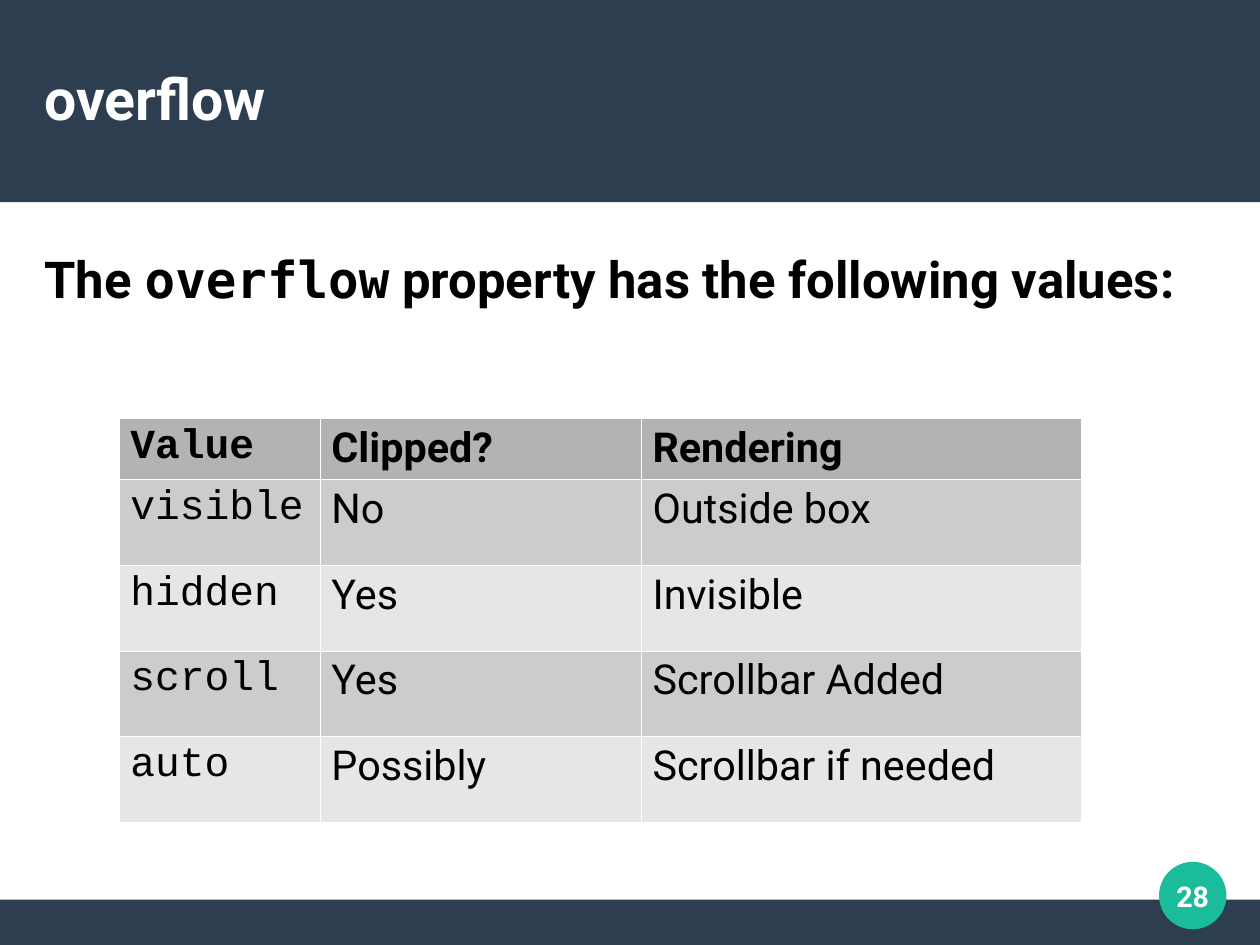
"""Build the slide on the values of the overflow property."""
from dataclasses import dataclass

from lxml.etree import SubElement
from pptx import Presentation
from pptx.dml.color import RGBColor
from pptx.enum.shapes import MSO_SHAPE
from pptx.enum.text import MSO_ANCHOR, PP_ALIGN
from pptx.oxml.ns import qn
from pptx.util import Inches, Pt


@dataclass(frozen=True)
class Theme:
    navy: str = "2C3E50"
    teal: str = "1ABC9C"
    white: str = "FFFFFF"
    black: str = "000000"
    header: str = "B3B3B3"
    bands: tuple = ("CCCCCC", "E6E6E6")
    sans: str = "Roboto"
    mono: str = "DejaVu Sans Mono"
    code: str = "Courier New"
    title: int = 36
    lead: int = 32
    cell: int = 26
    badge: int = 18
    rule: float = 0.06


THEME = Theme()
WIDTH, HEIGHT = 28 / 2.54, 21 / 2.54
FOOT = 7.87
COLS = (1.76, 2.81, 3.85)
ROWS = (0.52,) + (0.75,) * 4
VALUES = (
    ("Value", "Clipped?", "Rendering"),
    ("visible", "No", "Outside box"),
    ("hidden", "Yes", "Invisible"),
    ("scroll", "Yes", "Scrollbar Added"),
    ("auto", "Possibly", "Scrollbar if needed"),
)


def apply(target, **values):
    for name, value in values.items():
        setattr(target, name, value)


def paint(fill, color):
    fill.solid()
    fill.fore_color.rgb = RGBColor.from_string(color)


def add_run(para, text, size, color, face=THEME.sans, bold=True):
    run = para.add_run()
    run.text = text
    apply(run.font, name=face, size=Pt(size), bold=bold)
    run.font.color.rgb = RGBColor.from_string(color)


def add_block(slide, kind, box, color):
    shape = slide.shapes.add_shape(kind, *map(Inches, box))
    shape.shadow.inherit = False
    paint(shape.fill, color)
    shape.line.fill.background()


def add_text(slide, box, runs, size, color, anchor=MSO_ANCHOR.MIDDLE, **format):
    frame = slide.shapes.add_textbox(*map(Inches, box)).text_frame
    apply(frame, word_wrap=True, vertical_anchor=anchor, margin_left=0,
          margin_right=0, margin_top=0, margin_bottom=0)
    para = frame.paragraphs[0]
    apply(para, **format)
    for text, face in runs:
        add_run(para, text, size, color, face)


def add_rules(cell):
    props = cell._tc.get_or_add_tcPr()
    for side in ("lnL", "lnR", "lnT", "lnB"):
        line = SubElement(props, qn(f"a:{side}"), w=str(int(Pt(THEME.rule))))
        fill = SubElement(line, qn("a:solidFill"))
        SubElement(fill, qn("a:srgbClr"), val=THEME.white)


def add_grid(slide, left, top):
    box = (left, top, sum(COLS), sum(ROWS))
    table = slide.shapes.add_table(
        len(ROWS), len(COLS), *map(Inches, box)).table
    for col, width in zip(table.columns, COLS):
        col.width = Inches(width)
    for row, height in zip(table.rows, ROWS):
        row.height = Inches(height)
    for i, texts in enumerate(VALUES):
        color = THEME.bands[(i - 1) % 2] if i else THEME.header
        for j, text in enumerate(texts):
            cell = table.cell(i, j)
            add_rules(cell)
            paint(cell.fill, color)
            face = THEME.sans if j else THEME.code
            add_run(cell.text_frame.paragraphs[0], text, THEME.cell,
                    THEME.black, face, bold=i == 0)


def main():
    deck = Presentation()
    apply(deck, slide_width=Inches(WIDTH), slide_height=Inches(HEIGHT))
    slide = deck.slides.add_slide(deck.slide_layouts[6])
    paint(slide.background.fill, THEME.white)

    for top, height in ((FOOT, HEIGHT - FOOT), (0, 1.77)):
        add_block(slide, MSO_SHAPE.RECTANGLE, (0, top, WIDTH, height), THEME.navy)
    add_block(slide, MSO_SHAPE.OVAL, (10.14, 7.54, 0.59, 0.59), THEME.teal)

    add_text(slide, (0.39, 0.33, 10.24, 1.05), [("overflow", THEME.sans)],
             THEME.title, THEME.white)
    lead = [("The ", THEME.sans), ("overflow", THEME.mono),
            (" property has the following values:", THEME.sans)]
    add_text(slide, (0.39, 2.17, 10.24, 5.51), lead, THEME.lead, THEME.black,
             MSO_ANCHOR.TOP, space_after=Pt(14.1))
    add_grid(slide, 1.04, 3.66)
    add_text(slide, (10.04, 7.44, 0.79, 0.79), [("28", THEME.sans)],
             THEME.badge, THEME.white, alignment=PP_ALIGN.CENTER)
    deck.save("out.pptx")


if __name__ == "__main__":
    main()
